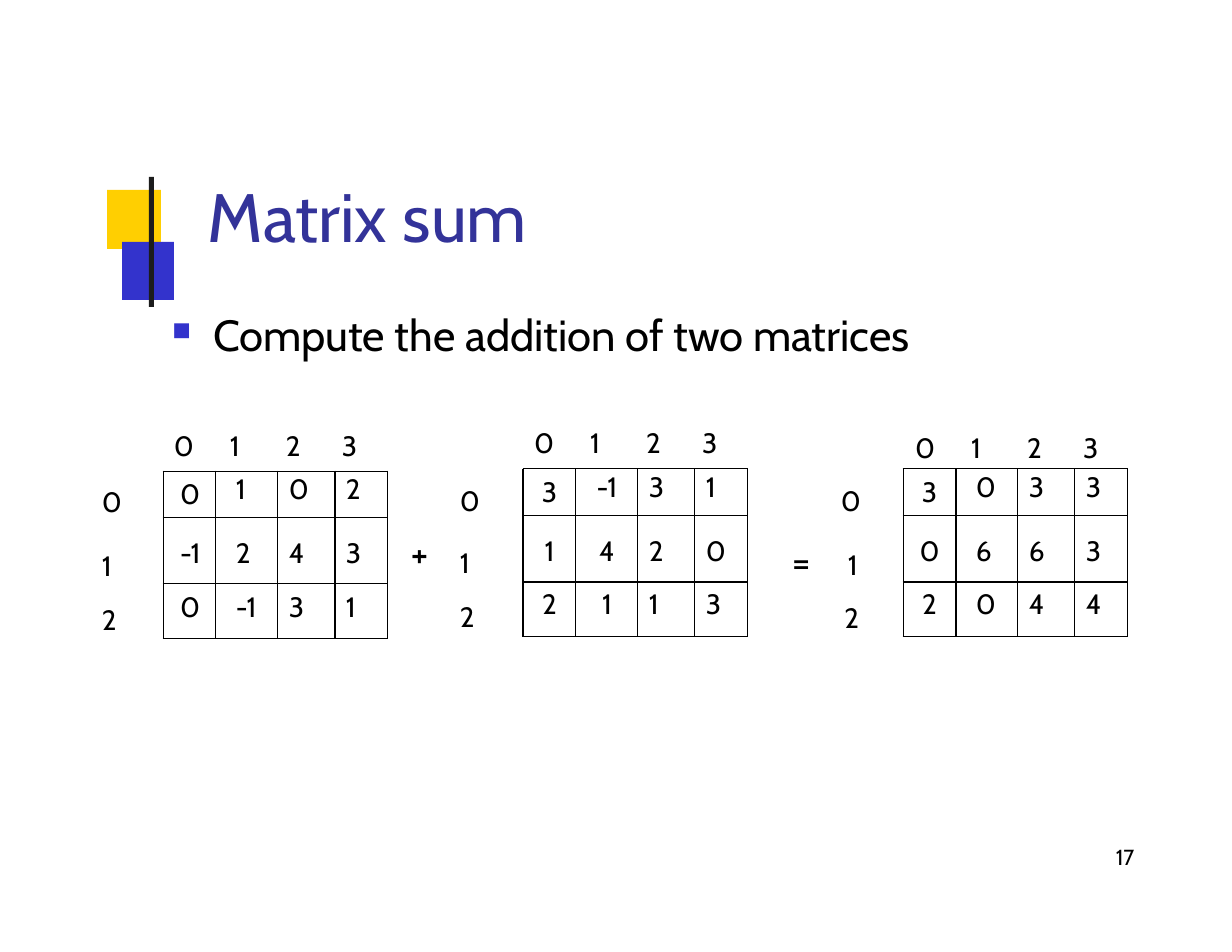
from lxml.etree import SubElement
from pptx import Presentation
from pptx.dml.color import RGBColor
from pptx.enum.shapes import MSO_SHAPE as Shape
from pptx.enum.text import MSO_ANCHOR as Anchor, MSO_AUTO_SIZE as Auto, PP_ALIGN as Align
from pptx.oxml.ns import qn
from pptx.util import Emu, Pt

BLACK = RGBColor(0, 0, 0)
INK = RGBColor(0x1C, 0x1C, 0x1C)
GOLD = RGBColor(0xFF, 0xCF, 0x01)
BLUE = RGBColor(0x33, 0x33, 0xCC)
NAVY = RGBColor(0x33, 0x33, 0x99)
FONT = "Cabin"

# Boxes are left, top, width, height in px, 112 px to the inch.
BLOCKS = [
    ((107, 190, 54, 59), GOLD),
    ((122, 242, 52, 58), BLUE),
    ((149, 177, 5, 130), INK),
]
TITLE = "Matrix sum"
POINT = "Compute the addition of two matrices"
PAGE = "17"

COLS = (53, 62, 57, 53)
ROWS = (47, 66, 55)
HEADS = "0\t1\t2\t3"
STOPS = (69, 120, 178)
# Indent per column, None for centred; thick holds the grid lines of 1 pt.
MATRICES = [
    dict(left=163, top=471, heads=(173, 427), zero=(101, 484),
         indent=(17, 20, 11, 11), thick=[("col", 3)],
         rows=[(0, 1, 0, 2), (-1, 2, 4, 3), (0, -1, 3, 1)]),
    dict(left=523, top=469, heads=(533, 425), zero=(459, 482),
         indent=(None, None, 11, 11), thick=[("row", 2)],
         rows=[(3, -1, 3, 1), (1, 4, 2, 0), (2, 1, 1, 3)]),
    dict(left=903, top=469, heads=(914, 429), zero=(840, 482),
         indent=(None, 20, 11, 11), thick=[("col", 1), ("row", 2)],
         rows=[(3, 0, 3, 3), (0, 6, 6, 3), (2, 0, 4, 4)]),
]
# Each paragraph: runs of (text, size), then its format.
ONE = dict(runs=[("1", 18)], indent=1)
TWO = dict(runs=[("2", 18)], indent=1, before=12.7)
SIDES = [
    ((101, 528, 18, 110), 21, [ONE, TWO]),
    ((459, 525, 18, 110), 21, [ONE, TWO]),
    ((791, 513, 68, 122), 25, [
        dict(runs=[("=\t", 24), ("1", 18)], indent=1, tabs=(52,)),
        dict(runs=[("2", 18)], align=Align.RIGHT, before=11.2)]),
    ((410, 529, 30, 48), 1, [dict(runs=[("+", 24)], indent=1)]),
]


def px(n):
    return Emu(round(n * 914400 / 112))


def put(item, values):
    for name, value in values.items():
        setattr(item, name, value)


def write(para, runs, indent=0, hang=0, tabs=(), before=0, align=Align.LEFT,
          bullet=None, color=BLACK, spc=-50):
    """Fill one paragraph; spc is letter spacing in 1/100 pt."""
    props = para._p.get_or_add_pPr()
    props.set("marL", str(px(indent)))
    props.set("indent", str(px(hang)))
    if bullet:
        tint = SubElement(props, qn("a:buClr"))
        SubElement(tint, qn("a:srgbClr"), val=str(BLUE))
        SubElement(props, qn("a:buSzPct"), val="59000")
        SubElement(props, qn("a:buChar"), char=bullet)
    if tabs:
        stops = SubElement(props, qn("a:tabLst"))
        for stop in tabs:
            SubElement(stops, qn("a:tab"), pos=str(px(stop)), algn="l")
    para.alignment = align
    if before:
        para.space_before = Pt(before)
    for text, size in runs:
        run = para.add_run()
        run.text = text
        put(run.font, dict(name=FONT, size=Pt(size)))
        run.font.color.rgb = color
        run._r.get_or_add_rPr().set("spc", str(spc))


def fill(frame, inset, paras):
    put(frame, dict(margin_left=0, margin_top=px(inset), margin_right=0,
                    margin_bottom=0, word_wrap=True, auto_size=Auto.NONE,
                    vertical_anchor=Anchor.TOP))
    for i, form in enumerate(paras):
        write(frame.add_paragraph() if i else frame.paragraphs[0], **form)


def label(slide, box, inset, paras):
    fill(slide.shapes.add_textbox(*map(px, box)).text_frame, inset, paras)


def edge(cell, r, c, thick):
    props = cell._tc.get_or_add_tcPr()
    lines = [("L", ("col", c)), ("R", ("col", c + 1)),
             ("T", ("row", r)), ("B", ("row", r + 1))]
    for i, (side, line) in enumerate(lines):
        width = Pt(1 if line in thick else 0.75)
        stroke = props.makeelement(qn("a:ln" + side), {"w": str(width)})
        solid = SubElement(stroke, qn("a:solidFill"))
        SubElement(solid, qn("a:srgbClr"), val=str(BLACK))
        props.insert(i, stroke)


def grid(slide, left, top, heads, zero, indent, thick, rows):
    box = (left, top, sum(COLS), sum(ROWS))
    frame = slide.shapes.add_table(len(ROWS), len(COLS), *map(px, box))
    table = frame.table
    put(table, dict(first_row=False, horz_banding=False))
    for col, width in zip(table.columns, COLS):
        col.width = px(width)
    for r, row in enumerate(rows):
        table.rows[r].height = px(ROWS[r])
        for c, value in enumerate(row):
            cell = table.cell(r, c)
            inset = 18 if r == 1 else 1 if r == 0 and c else 6
            put(cell, dict(margin_left=0, margin_right=0, margin_bottom=0,
                           margin_top=px(inset), vertical_anchor=Anchor.TOP))
            cell.fill.background()
            edge(cell, r, c, thick)
            mid = indent[c] is None
            write(cell.text_frame.paragraphs[0], [(str(value), 18)],
                  indent=indent[c] or 0, align=Align.CENTER if mid else Align.LEFT)
    label(slide, (*heads, 196, 37), 1,
          [dict(runs=[(HEADS, 18)], indent=1, tabs=STOPS)])
    label(slide, (*zero, 18, 37), 1, [dict(runs=[("0", 18)], indent=1)])


def main():
    deck = Presentation()
    put(deck, dict(slide_width=px(1232), slide_height=px(952)))
    slide = deck.slides.add_slide(deck.slide_layouts[5])
    for box, color in BLOCKS:
        block = slide.shapes.add_shape(Shape.RECTANGLE, *map(px, box))
        block.shadow.inherit = False
        block.fill.solid()
        block.fill.fore_color.rgb = color
        block.line.fill.background()

    title = slide.shapes.title
    put(title, dict(left=px(204), top=px(90), width=px(814), height=px(168)))
    fill(title.text_frame, 84,
         [dict(runs=[(TITLE, 44)], indent=4, color=NAVY, spc=0)])
    label(slide, (1112, 843, 35, 29), 1,
          [dict(runs=[(PAGE, 14)], indent=4, spc=-20)])
    label(slide, (169, 307, 771, 55), 1,
          [dict(runs=[(POINT, 28)], indent=44, hang=-41, tabs=(44,),
                bullet="■", spc=0)])
    for matrix in MATRICES:
        grid(slide, **matrix)
    for side in SIDES:
        label(slide, *side)
    deck.save("out.pptx")


if __name__ == "__main__":
    main()
